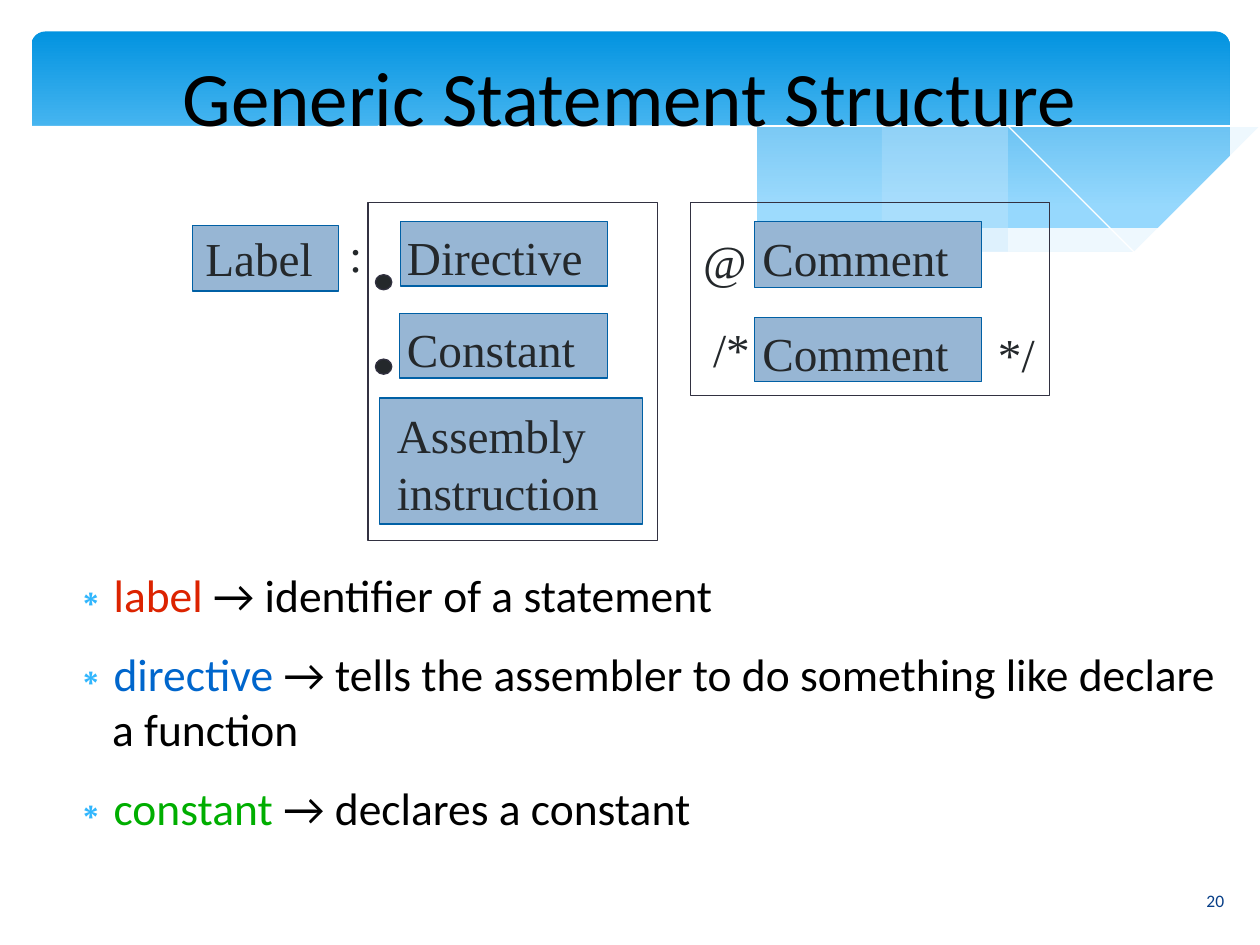
from lxml.etree import SubElement
from pptx import Presentation
from pptx.dml.color import RGBColor
from pptx.enum.shapes import MSO_SHAPE as Shape
from pptx.enum.text import MSO_ANCHOR as Anchor, MSO_AUTO_SIZE as AutoSize, PP_ALIGN as Align
from pptx.oxml.ns import qn
from pptx.util import Inches, Pt

COLORS = {
    "black": "000000", "white": "FFFFFF", "sky": "0293E0", "pale": "83D3FE",
    "wave": "C6E7FC", "bullet": "31B6FD", "number": "073E87", "ink": "24282B",
    "frame": "323141", "panel": "97B6D4", "border": "0060A5",
    "label": "DC2300", "directive": "0066CC", "constant": "00AE00",
}
TITLE = "Generic Statement Structure"
TERMS = [
    ("label", "identifier of a statement"),
    ("directive", "tells the assembler to do something like declare a function"),
    ("constant", "declares a constant"),
]
FRAMES = [(2.92, 1.61, 2.3, 2.68), (5.48, 1.61, 2.85, 1.53)]
PANELS = [
    (1.53, 1.79, 1.16, 0.52), (3.18, 1.76, 1.64, 0.51), (3.17, 2.49, 1.65, 0.51),
    (3.01, 3.16, 2.09, 1), (5.99, 1.76, 1.8, 0.52), (5.99, 2.52, 1.8, 0.51),
]
DOTS = [(2.98, 2.18, 0.13, 0.12), (2.98, 2.85, 0.13, 0.12)]
WORDS = [
    ("Label", 1.63, 1.82, 1), (":", 2.77, 1.79, 0.25),
    ("Directive", 3.23, 1.81, 1.53), ("Constant", 3.23, 2.54, 1.48),
    ("Assembly", 3.15, 3.22, 1.73), ("instruction", 3.15, 3.68, 1.76),
    ("Comment", 6.05, 1.82, 1.61), ("@", 5.58, 1.84, 0.49),
    ("Comment", 6.05, 2.57, 1.61), ("/*", 5.66, 2.54, 0.45), ("*/", 7.92, 2.58, 0.45),
]
WORD_HEIGHT = 0.51

RIGHT_WAVE = [
    [(9.76, 0.94), (9.35, 1.01), (8.91, 1.1), (8.32, 1.25), (7.53, 1.43), (6.61, 1.6)],
    [(6.61, 1.6), (7.19, 1.67), (7.69, 1.71), (8.14, 1.72), (8.63, 1.7), (9.05, 1.63),
     (9.42, 1.54), (9.76, 1.41)],
]
MIDDLE_WAVE = [
    [(8.93, 1.67), (8.37, 1.59), (7.75, 1.49), (7.06, 1.34), (6.29, 1.16), (5.69, 1.02),
     (5.14, 0.92), (4.42, 0.83), (3.8, 0.8), (3.28, 0.81), (2.86, 0.86)],
    [(2.86, 0.86), (3.42, 0.94), (4.04, 1.06), (4.91, 1.26), (5.66, 1.43), (6.34, 1.56),
     (6.95, 1.65), (7.48, 1.7), (8.07, 1.73), (8.48, 1.72), (8.93, 1.67)],
]
LONG_LINE = [
    [(3.09, 0.9), (3.44, 0.84), (4.16, 0.81), (4.89, 0.84), (5.56, 0.91), (6.36, 1.03),
     (7.27, 1.2), (8.31, 1.45), (9.07, 1.66)],
]
SHORT_LINE = [
    [(6.13, 1.51), (6.72, 1.35), (7.48, 1.17), (8.36, 0.99), (8.95, 0.88), (9.38, 0.83),
     (9.75, 0.8)],
]
WHITE_WAVE = [
    [(9.77, 1.41), (9.4, 1.54), (8.99, 1.64), (8.5, 1.7), (7.93, 1.71), (7.26, 1.67),
     (6.48, 1.56), (5.55, 1.39), (4.47, 1.14), (3.65, 0.96), (2.92, 0.85), (2.3, 0.79),
     (1.77, 0.78), (1.32, 0.81), (0.85, 0.87), (0.52, 0.96), (0.23, 1.07)],
    [(0.23, 2.24), (9.77, 2.24)],
]
WAVES = [
    (RIGHT_WAVE, "wave", 29, None), (MIDDLE_WAVE, "wave", 40, None),
    (LONG_LINE, None, None, "white"), (SHORT_LINE, None, None, "white"),
    (WHITE_WAVE, "white", None, None),
]


def rgb(name):
    return RGBColor.from_string(COLORS[name])


def paint(shape, fill=None, line=None, opacity=None):
    shape.shadow.inherit = False
    if fill:
        shape.fill.solid()
        shape.fill.fore_color.rgb = rgb(fill)
    else:
        shape.fill.background()
    if opacity:
        color = next(shape.element.spPr.iter(qn("a:srgbClr")))
        SubElement(color, qn("a:alpha"), val=str(opacity * 1000))
    if line:
        shape.line.color.rgb = rgb(line)
        shape.line.width = Pt(0)
    else:
        shape.line.fill.background()


def add_preset(page, kind, place, **look):
    shape = page.shapes.add_shape(kind, *map(Inches, place))
    paint(shape, **look)
    return shape


def smooth(knots, steps=5):
    if len(knots) < 3:
        return knots
    ends = [knots[0], *knots, knots[-1]]
    points = [knots[0]]
    for a, b, c, d in zip(ends, ends[1:], ends[2:], ends[3:]):
        for step in range(1, steps + 1):
            t = step / steps
            points.append(tuple(
                (2 * q + (r - p) * t + (2 * p - 5 * q + 4 * r - s) * t ** 2
                 + (3 * q - p - 3 * r + s) * t ** 3) / 2
                for p, q, r, s in zip(a, b, c, d)))
    return points


def add_wave(page, edges, fill, opacity, line):
    points = [point for edge in edges for point in smooth(edge)]
    builder = page.shapes.build_freeform(*points[0], scale=Inches(1))
    builder.add_line_segments(points[1:], close=fill is not None)
    paint(builder.convert_to_shape(), fill=fill, line=line, opacity=opacity)


def add_span(para, text, size=27, font="Calibri", color="black"):
    span = para.add_run()
    span.text = text
    span.font.size = Pt(size)
    span.font.name = font
    span.font.color.rgb = rgb(color)


def set_frame(box, place, anchor=Anchor.TOP):
    box.left, box.top, box.width, box.height = map(Inches, place)
    frame = box.text_frame
    frame.margin_left = frame.margin_right = frame.margin_top = frame.margin_bottom = 0
    frame.word_wrap = True
    frame.auto_size = AutoSize.NONE
    frame.vertical_anchor = anchor
    return frame


def add_text(page, text, place, align=Align.LEFT, anchor=Anchor.TOP, **look):
    frame = set_frame(page.shapes.add_textbox(0, 0, 0, 0), place, anchor)
    frame.paragraphs[0].alignment = align
    add_span(frame.paragraphs[0], text, **look)


def add_bullet(para):
    props = para._p.get_or_add_pPr()
    props.set("marL", str(Inches(0.47)))
    props.set("indent", str(Inches(-0.35)))
    color = SubElement(props, qn("a:buClr"))
    SubElement(color, qn("a:srgbClr"), val=COLORS["bullet"])
    SubElement(props, qn("a:buChar"), char="∗")


def add_backdrop(page):
    banner = add_preset(page, Shape.ROUNDED_RECTANGLE, (0.25, 0.25, 9.51, 1.56))
    banner.adjustments[0] = 0.07
    banner.fill.gradient()
    banner.fill.gradient_angle = 270
    for stop, name, position in zip(banner.fill.gradient_stops, ("sky", "pale"), (0, 0.9)):
        stop.color.rgb = rgb(name)
        stop.position = position
    for edges, fill, opacity, line in WAVES:
        add_wave(page, edges, fill, opacity, line)


def fill_placeholders(page):
    title, body = page.placeholders
    for holder in (title, body):
        holder.element.getparent().append(holder.element)
    para = set_frame(title, (0.25, 0.25, 9.5, 1.02), Anchor.MIDDLE).paragraphs[0]
    para.alignment = Align.CENTER
    add_span(para, TITLE, size=44)
    frame = set_frame(body, (0.42, 4.5, 9.33, 2.07))
    for index, (term, meaning) in enumerate(TERMS):
        para = frame.add_paragraph() if index else frame.paragraphs[0]
        para.space_before = Pt(0)
        para.space_after = Pt(14.1)
        add_bullet(para)
        add_span(para, term, size=26, color=term)
        add_span(para, f" → {meaning}", size=26)


def add_diagram(page):
    for place in FRAMES:
        add_preset(page, Shape.RECTANGLE, place, line="frame")
    for place in PANELS:
        add_preset(page, Shape.RECTANGLE, place, fill="panel", line="border")
    for place in DOTS:
        add_preset(page, Shape.OVAL, place, fill="ink", line="frame")
    for text, left, top, width in WORDS:
        add_text(page, text, (left, top, width, WORD_HEIGHT),
                 font="Times New Roman", color="ink")


def main():
    deck = Presentation()
    deck.slide_width, deck.slide_height = Inches(10), Inches(7.5)
    page = deck.slides.add_slide(deck.slide_layouts[1])
    add_backdrop(page)
    add_text(page, "20", (9.34, 6.95, 0.61, 0.4), align=Align.CENTER,
             anchor=Anchor.MIDDLE, size=10, color="number")
    fill_placeholders(page)
    add_diagram(page)
    deck.save("out.pptx")


if __name__ == "__main__":
    main()
